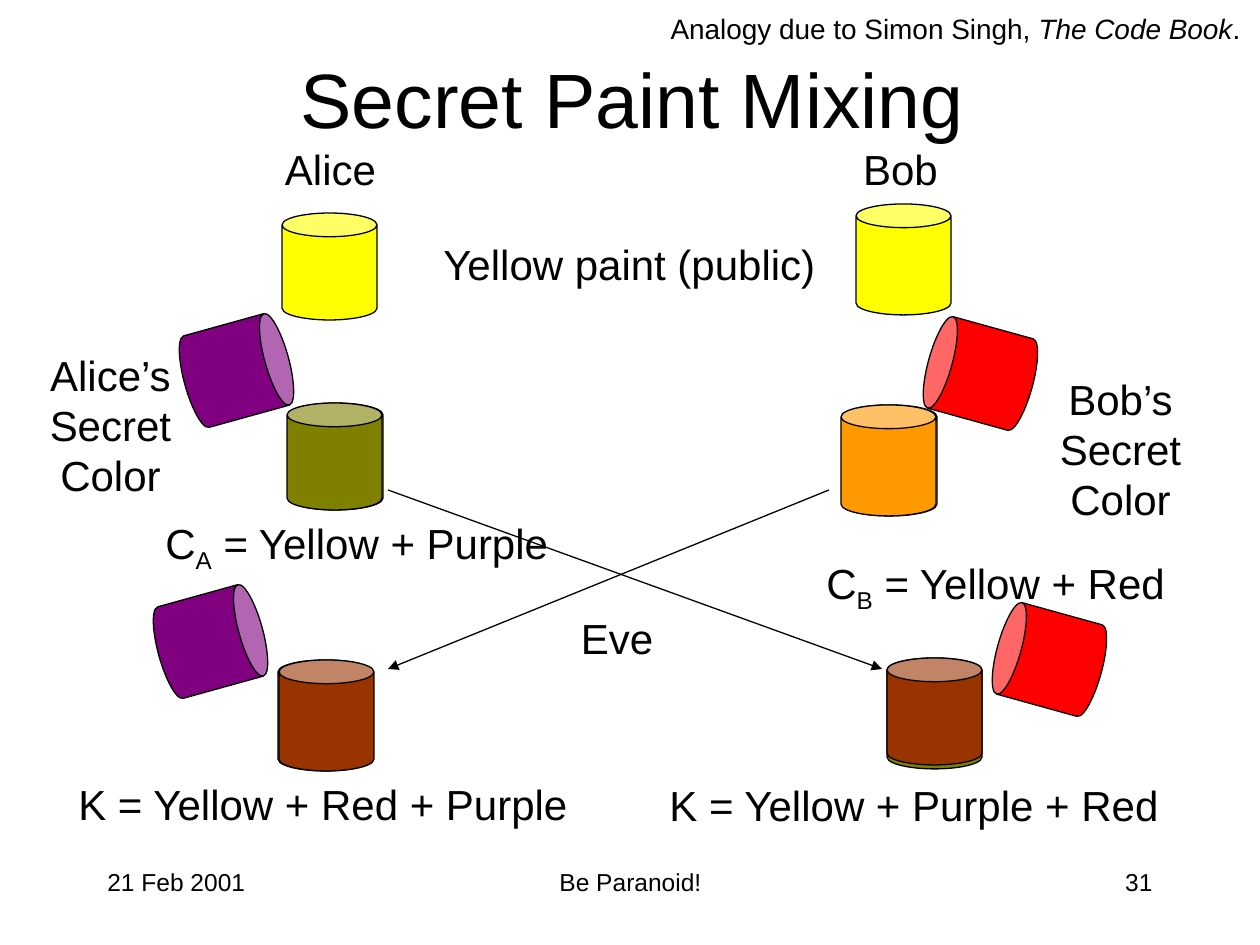
from lxml import etree
from pptx import Presentation
from pptx.dml.color import RGBColor
from pptx.enum.shapes import MSO_CONNECTOR, MSO_SHAPE
from pptx.enum.text import MSO_ANCHOR, MSO_AUTO_SIZE, PP_ALIGN
from pptx.oxml.ns import qn
from pptx.util import Emu, Pt

CAN = MSO_SHAPE.CAN
STRAIGHT = MSO_CONNECTOR.STRAIGHT
MIDDLE, TOP = MSO_ANCHOR.MIDDLE, MSO_ANCHOR.TOP
GROW, FIXED = MSO_AUTO_SIZE.SHAPE_TO_FIT_TEXT, MSO_AUTO_SIZE.NONE
LEFT, CENTER, RIGHT = PP_ALIGN.LEFT, PP_ALIGN.CENTER, PP_ALIGN.RIGHT

BLACK = RGBColor(0x00, 0x00, 0x00)
YELLOW = RGBColor(0xFF, 0xFF, 0x00)
PURPLE = RGBColor(0x80, 0x00, 0x80)
RED = RGBColor(0xFF, 0x00, 0x00)
OLIVE = RGBColor(0x80, 0x80, 0x00)
ORANGE = RGBColor(0xFF, 0x99, 0x00)
BROWN = RGBColor(0x99, 0x33, 0x00)

PX_PER_INCH = 126
CAN_WIDTH, TALL, SHORT = 95, 111, 107
POUR_RIGHT, POUR_LEFT = 74.5, 285.5
ITALIC, SUBSCRIPT = "italic", "subscript"


def px(length):
    return Emu(round(length * 914400 / PX_PER_INCH))


class PaintSlide:
    """Holds the text and line style and the page being drawn."""

    font = "Arial"
    line_width = Pt(0.75)

    def __init__(self, page):
        self.page = page

    def fill_text(self, frame, spans, size, align):
        """Write spans: plain strings or (text, ITALIC or SUBSCRIPT) pairs."""
        para = frame.paragraphs[0]
        para.alignment = align
        for item in spans:
            text, style = (item, None) if isinstance(item, str) else item
            span = para.add_run()
            span.text = text
            span.font.name = self.font
            span.font.size = Pt(size)
            span.font.color.rgb = BLACK
            if style == ITALIC:
                span.font.italic = True
            elif style == SUBSCRIPT:
                span._r.get_or_add_rPr().set("baseline", "-25000")

    def title(self, left, top, width, height, text):
        box = self.page.shapes.title
        box.left, box.top, box.width, box.height = map(px, (left, top, width, height))
        frame = box.text_frame
        frame.auto_size = FIXED
        frame.vertical_anchor = MIDDLE
        self.fill_text(frame, [text], 44, CENTER)

    def text(self, left, top, width, height, *spans, size=24, align=LEFT,
             wrap=True, fit=GROW):
        box = self.page.shapes.add_textbox(*map(px, (left, top, width, height)))
        frame = box.text_frame
        frame.word_wrap = wrap
        frame.auto_size = fit
        frame.vertical_anchor = TOP
        self.fill_text(frame, spans, size, align)

    def can(self, left, top, color, height=TALL, rotation=0):
        can = self.page.shapes.add_shape(CAN, *map(px, (left, top, CAN_WIDTH, height)))
        can.adjustments[0] = 0.25
        can.rotation = rotation
        can.shadow.inherit = False
        can.fill.solid()
        can.fill.fore_color.rgb = color
        can.line.color.rgb = BLACK
        can.line.width = self.line_width

    def arrow(self, *ends):
        arrow = self.page.shapes.add_connector(STRAIGHT, *map(px, ends))
        arrow.line.color.rgb = BLACK
        arrow.line.width = self.line_width
        etree.SubElement(arrow.line._get_or_add_ln(), qn("a:tailEnd"), type="triangle")
        etree.SubElement(arrow._element.spPr, qn("a:effectLst"))


def main():
    deck = Presentation()
    deck.slide_width, deck.slide_height = px(1260), px(945)
    slide = PaintSlide(deck.slides.add_slide(deck.slide_layouts[5]))

    slide.title(97, 19, 1071, 158, "Secret Paint Mixing")
    slide.text(658, 5, 595, 47, "Analogy due to Simon Singh, ",
               ("The Code Book", ITALIC), ".", size=16, align=CENTER, wrap=False)

    # Exchange of the mixed colors
    slide.arrow(829, 490, 388, 669)
    slide.arrow(388, 490, 882, 669)

    # Public paint
    slide.can(282, 213, YELLOW, SHORT)
    slide.can(856, 204, YELLOW)
    for left, width, name in ((272, 117, "Alice"), (850, 101, "Bob")):
        slide.text(left, 137, width, 63, name, align=CENTER, wrap=False)
    slide.text(431, 232, 412, 63, "Yellow paint (public)", wrap=False)

    # Secret colors poured into the public paint
    slide.can(288, 403, YELLOW, SHORT)
    slide.can(842, 405, YELLOW)
    slide.can(189, 317, PURPLE, SHORT, POUR_RIGHT)
    slide.can(933, 320, RED, SHORT, POUR_LEFT)
    slide.text(2, 343, 217, 164, "Alice’s Secret Color", align=CENTER)
    slide.text(1012, 367, 217, 164, "Bob’s Secret Color", align=CENTER)
    slide.can(287, 403, OLIVE, SHORT)
    slide.can(841, 405, ORANGE)
    slide.text(153, 511, 416, 71, "C", ("A", SUBSCRIPT), " = Yellow + Purple")
    slide.text(814, 551, 368, 71, "C", ("B", SUBSCRIPT), " = Yellow + Red", wrap=False)

    # Secret colors poured into the exchanged mixtures
    slide.can(278, 660, ORANGE)
    slide.can(887, 658, OLIVE)
    slide.can(279, 660, BROWN)
    slide.can(887, 658, BROWN, SHORT)
    slide.can(163, 588, PURPLE, SHORT, POUR_RIGHT)
    slide.can(1002, 606, RED, SHORT, POUR_LEFT)
    slide.text(66, 772, 533, 63, "K = Yellow + Red + Purple")
    slide.text(657, 773, 533, 63, "K = Yellow + Purple + Red")
    slide.text(566, 606, 102, 63, "Eve", align=CENTER, wrap=False)

    for left, width, text, align in ((95, 262, "21 Feb 2001", LEFT),
                                     (431, 399, "Be Paranoid!", CENTER),
                                     (903, 262, "31", RIGHT)):
        slide.text(left, 861, width, 63, text, size=14, align=align, fit=FIXED)

    deck.save("out.pptx")


if __name__ == "__main__":
    main()
